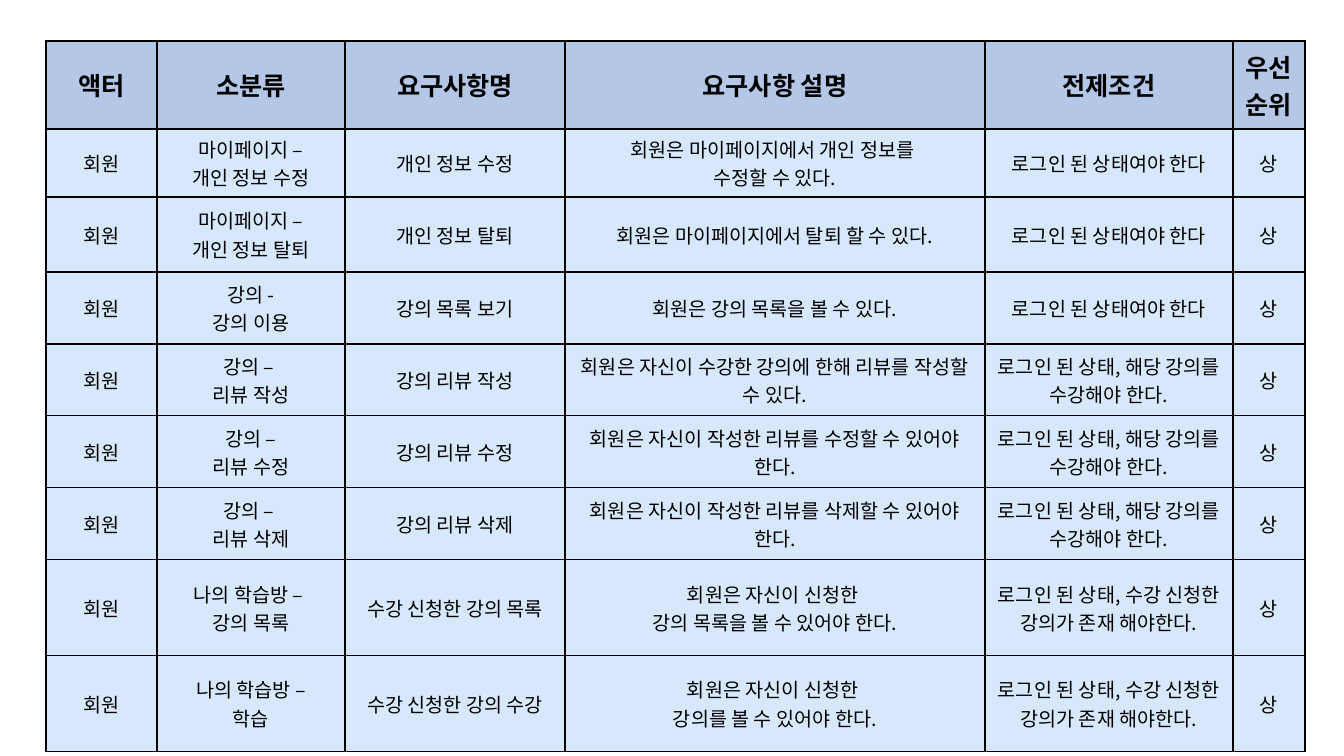
"""Builds a slide with the member requirements table."""
import lxml.etree
import pptx
import pptx.dml.color
import pptx.enum.text
import pptx.oxml.ns
import pptx.util

FONT = "Noto Sans CJK KR"
BLACK, HEADER_FILL, BODY_FILL = "000000", "B4C7E7", "D8E8FC"
EMU_PER_PX = 914400 / 100.8
SLIDE_SIZE = (1344, 756)
TABLE_LEFT, TABLE_TOP = 46, 41
COLUMN_WIDTHS = (111, 188, 220, 420, 248, 72)
ROW_HEIGHTS = (88, 68, 75) + (72,) * 6

ACTOR, PRIORITY = "회원", "상"
LOGGED_IN = "로그인 된 상태여야 한다"
ATTENDED = "로그인 된 상태, 해당 강의를 수강해야 한다."
ENROLLED = "로그인 된 상태, 수강 신청한 강의가 존재 해야한다."
HEADERS = ("액터", "소분류", "요구사항명", "요구사항 설명", "전제조건", "우선순위")
REQUIREMENTS = [
    ("마이페이지 –\n개인 정보 수정", "개인 정보 수정",
     "회원은 마이페이지에서 개인 정보를 \n수정할 수 있다.", LOGGED_IN),
    ("마이페이지 –\n개인 정보 탈퇴", "개인 정보 탈퇴",
     "회원은 마이페이지에서 탈퇴 할 수 있다.", LOGGED_IN),
    ("강의 -\n강의 이용", "강의 목록 보기",
     "회원은 강의 목록을 볼 수 있다.", LOGGED_IN),
    ("강의 – \n리뷰 작성", "강의 리뷰 작성",
     "회원은 자신이 수강한 강의에 한해 리뷰를 작성할 수 있다.", ATTENDED),
    ("강의 –\n리뷰 수정", "강의 리뷰 수정",
     "회원은 자신이 작성한 리뷰를 수정할 수 있어야 한다.", ATTENDED),
    ("강의 – \n리뷰 삭제", "강의 리뷰 삭제",
     "회원은 자신이 작성한 리뷰를 삭제할 수 있어야 한다.", ATTENDED),
    ("나의 학습방 – \n강의 목록", "수강 신청한 강의 목록",
     "회원은 자신이 신청한 \n강의 목록을 볼 수 있어야 한다.", ENROLLED),
    ("나의 학습방 –\n학습", "수강 신청한 강의 수강",
     "회원은 자신이 신청한 \n강의를 볼 수 있어야 한다.", ENROLLED),
]


def px(length):
    return pptx.util.Emu(round(length * EMU_PER_PX))


def color(value):
    return pptx.dml.color.RGBColor.from_string(value)


def add_borders(cell, line_color=BLACK, width=1):
    properties = cell._tc.get_or_add_tcPr()
    for index, side in enumerate(("lnL", "lnR", "lnT", "lnB")):
        line = lxml.etree.Element(pptx.oxml.ns.qn(f"a:{side}"), w=str(pptx.util.Pt(width)))
        fill = lxml.etree.SubElement(line, pptx.oxml.ns.qn("a:solidFill"))
        lxml.etree.SubElement(fill, pptx.oxml.ns.qn("a:srgbClr"), val=line_color)
        properties.insert(index, line)


def write_text(cell, text, size=14, bold=False, font_color=BLACK):
    cell.vertical_anchor = pptx.enum.text.MSO_ANCHOR.MIDDLE
    cell.text_frame.text = text
    for para in cell.text_frame.paragraphs:
        para.alignment = pptx.enum.text.PP_ALIGN.CENTER
        for span in para.runs:
            span.font.size = pptx.util.Pt(size)
            span.font.bold = bold
            span.font.color.rgb = color(font_color)
            span.font.name = FONT
            lxml.etree.SubElement(span.font._element, pptx.oxml.ns.qn("a:ea"), typeface=FONT)


def add_requirements_table(page):
    rows = [HEADERS] + [(ACTOR, *requirement, PRIORITY) for requirement in REQUIREMENTS]
    table = page.shapes.add_table(
        len(rows), len(HEADERS), px(TABLE_LEFT), px(TABLE_TOP),
        px(sum(COLUMN_WIDTHS)), px(sum(ROW_HEIGHTS))).table
    table.horz_banding = False
    for column, width in zip(table.columns, COLUMN_WIDTHS):
        column.width = px(width)
    for row_index, (row, height, texts) in enumerate(zip(table.rows, ROW_HEIGHTS, rows)):
        row.height = px(height)
        is_header = row_index == 0
        for cell, text in zip(row.cells, texts):
            add_borders(cell)
            cell.fill.solid()
            cell.fill.fore_color.rgb = color(HEADER_FILL if is_header else BODY_FILL)
            write_text(cell, text, size=18 if is_header else 14, bold=is_header)


def main():
    deck = pptx.Presentation()
    deck.slide_width, deck.slide_height = map(px, SLIDE_SIZE)
    page = deck.slides.add_slide(deck.slide_layouts[6])
    add_requirements_table(page)
    deck.save("out.pptx")


if __name__ == "__main__":
    main()
